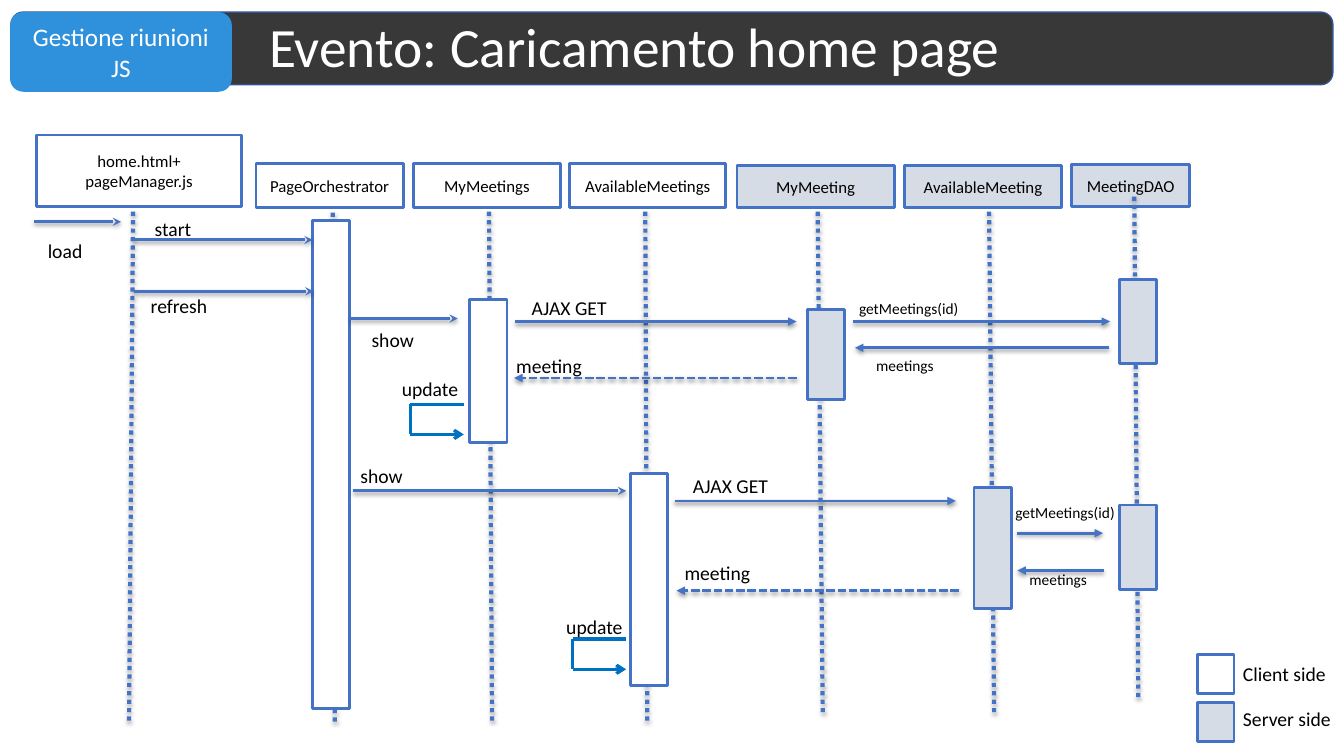
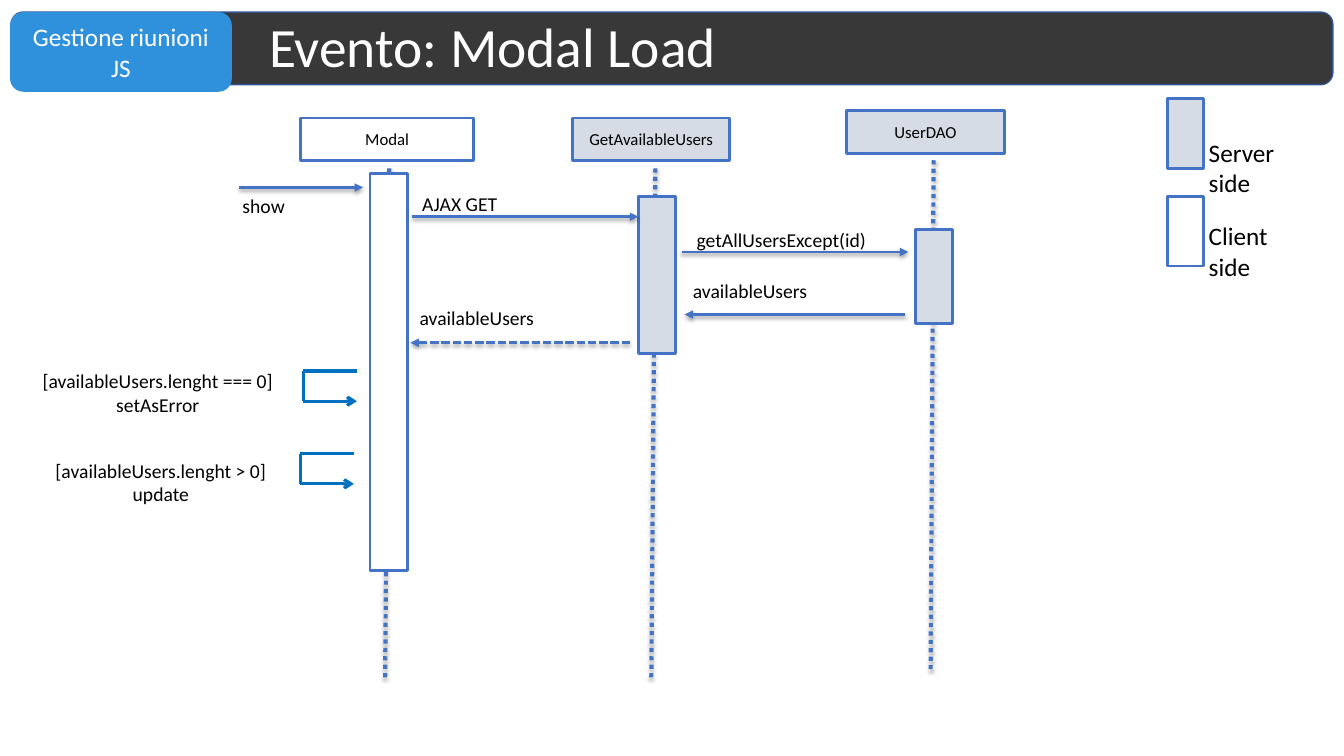
"""Build two sequence-diagram slides for the meeting manager."""
import dataclasses
import itertools

import pptx
import pptx.dml.color
import pptx.enum.dml
import pptx.enum.shapes
import pptx.enum.text
import pptx.oxml
import pptx.util

Shape = pptx.enum.shapes.MSO_SHAPE
Align = pptx.enum.text.PP_ALIGN
Anchor = pptx.enum.text.MSO_ANCHOR
Dash = pptx.enum.dml.MSO_LINE
DRAWING = "http://schemas.openxmlformats.org/drawingml/2006/main"


@dataclasses.dataclass(frozen=True)
class Theme:
    font: str = "Calibri"
    band: str = "383838"
    band_edge: str = "325491"
    badge: str = "2F90DB"
    line: str = "4472C4"
    loop: str = "0070C0"
    client: str = "FFFFFF"
    server: str = "D6DCE5"
    ink: str = "000000"
    light: str = "FFFFFF"
    title_size: float = 39.6
    badge_size: float = 18
    head_size: float = 12
    label_size: float = 14
    small_size: float = 11


THEME = Theme()
BADGE = "Gestione riunioni JS"
BAR_WIDTH = 0.37
LOOP_WIDTH, LOOP_HEIGHT = 0.53, 0.3
LABEL_HEIGHT = 0.3
TIGHT, ROOMY = (0.1, 0.05), (0.12, 0.06)

# Participants: name, side, head box, lifeline ends, bar left, bars (top, height).
# Messages: from x, to x, y, head, dashed. Labels: text, left, top, width.
HOME = {
    "title": "Evento: Caricamento home page",
    "participants": [
        ("home.html+ pageManager.js", "client", (0.36, 1.34, 2.04, 0.71),
         (1.32, 2.1, 1.28, 7.16), 0, []),
        ("PageOrchestrator", "client", (2.54, 1.62, 1.46, 0.44),
         (3.3, 2.11, 3.32, 7.16), 3.1, [(2.19, 4.84)]),
        ("MyMeetings", "client", (4.1, 1.62, 1.46, 0.44),
         (4.85, 2.1, 4.88, 7.16), 4.66, [(2.97, 1.42)]),
        ("AvailableMeetings", "client", (5.65, 1.62, 1.55, 0.44),
         (6.4, 2.1, 6.42, 7.15), 6.25, [(4.7, 2.1)]),
        ("MyMeeting", "server", (7.31, 1.64, 1.56, 0.42),
         (8.11, 2.1, 8.16, 7.07), 8.01, [(3.07, 0.89)]),
        ("AvailableMeeting", "server", (8.97, 1.64, 1.56, 0.42),
         (9.81, 2.1, 9.86, 7.07), 9.66, [(4.84, 1.2)]),
        ("MeetingDAO", "server", (10.63, 1.63, 1.17, 0.42),
         (11.25, 1.95, 11.29, 6.92), 11.1, [(2.77, 0.84), (5.01, 0.84)]),
    ],
    "messages": [
        (0.34, 1.2, 2.2, "stealth", False),
        (1.32, 3.1, 2.38, "stealth", False),
        (1.33, 3.11, 2.89, "stealth", False),
        (3.47, 4.54, 3.16, "stealth", False),
        (3.5, 6.21, 4.87, "stealth", False),
        (5.11, 7.9, 3.19, "triangle", False),
        (8.46, 11.01, 3.19, "triangle", False),
        (11, 8.48, 3.45, "triangle", False),
        (7.9, 5.1, 3.75, "triangle", True),
        (6.69, 9.48, 4.97, "triangle", False),
        (10.09, 10.94, 5.29, "triangle", False),
        (10.95, 10.09, 5.66, "triangle", False),
        (9.51, 6.71, 5.86, "triangle", True),
    ],
    "loops": [(4.07, 4.01), (5.68, 6.34)],
    "labels": [
        ("load", 0.09, 2.31, 1.11), ("start", 1.16, 2.09, 1.11),
        ("refresh", 1.22, 2.86, 1.11), ("show", 3.34, 3.19, 1.11),
        ("show", 3.23, 4.54, 1.11), ("AJAX GET", 5.09, 2.88, 1.11),
        ("meeting", 4.89, 3.45, 1.11), ("update", 3.71, 3.68, 1.11),
        ("AJAX GET", 6.69, 4.64, 1.11), ("meeting", 6.56, 5.51, 1.11),
        ("update", 5.34, 6.04, 1.11),
    ],
    "calls": [
        ("getMeetings(id)", 8.4, 2.91, 1.53), ("meetings", 8.57, 3.47, 0.9),
        ("getMeetings(id)", 9.95, 4.93, 1.53), ("meetings", 10.09, 5.6, 0.9),
    ],
    "legend_size": 14,
    "legend": [
        ("Client side", "client", (11.88, 6.49, 0.36, 0.39), (12.23, 6.52)),
        ("Server side", "server", (11.88, 6.97, 0.36, 0.39), (12.23, 6.96)),
    ],
}
MODAL = {
    "title": "Evento: Modal Load",
    "participants": [
        ("Modal", "client", (2.98, 1.17, 1.72, 0.42),
         (3.86, 1.67, 3.82, 6.74), 3.67, [(1.72, 3.94)]),
        ("GetAvailableUsers", "server", (5.68, 1.17, 1.56, 0.42),
         (6.5, 1.67, 6.46, 6.74), 6.33, [(1.95, 1.56)]),
        ("UserDAO", "server", (8.4, 1.1, 1.56, 0.42),
         (9.26, 1.59, 9.23, 6.66), 9.08, [(2.28, 0.93)]),
    ],
    "messages": [
        (2.37, 3.6, 1.86, "triangle", False),
        (4.09, 6.33, 2.15, "triangle", False),
        (6.76, 9.01, 2.5, "triangle", False),
        (8.98, 6.79, 3.12, "triangle", False),
        (6.25, 4.07, 3.4, "triangle", True),
    ],
    "loops": [(3.01, 3.68), (2.98, 4.5)],
    "labels": [
        ("show", 2.24, 1.86, 0.75), ("AJAX GET", 3.96, 1.84, 1.2),
        ("getAllUsersExcept(id)", 6.63, 2.2, 2.24),
        ("availableUsers", 6.71, 2.71, 1.46),
        ("availableUsers", 4, 2.98, 1.46),
        ("[availableUsers.lenght === 0]\nsetAsError", 0.26, 3.6, 2.61),
        ("[availableUsers.lenght > 0]\nupdate", 0.29, 4.49, 2.61),
    ],
    "calls": [],
    "legend_size": 18,
    "legend": [
        ("Server side", "server", (11.58, 0.98, 0.36, 0.69), (11.89, 1.31)),
        ("Client side", "client", (11.58, 1.95, 0.36, 0.69), (11.89, 2.14)),
    ],
}


def inches(*lengths):
    return [pptx.util.Inches(length) for length in lengths]


def color(code):
    return pptx.dml.color.RGBColor.from_string(code)


def write(shape, text, size, ink=THEME.ink, align=Align.CENTER,
          anchor=Anchor.MIDDLE, margins=ROOMY, wrap=True):
    frame = shape.text_frame
    frame.text = text
    frame.word_wrap = wrap
    frame.vertical_anchor = anchor
    frame.margin_left = frame.margin_right = pptx.util.Inches(margins[0])
    frame.margin_top = frame.margin_bottom = pptx.util.Inches(margins[1])
    for para in frame.paragraphs:
        para.alignment = align
        for span in para.runs:
            span.font.name = THEME.font
            span.font.size = pptx.util.Pt(size)
            span.font.color.rgb = color(ink)
    return frame


def add_box(page, place, fill, edge=THEME.line, weight=2, kind=Shape.RECTANGLE):
    box = page.shapes.add_shape(kind, *inches(*place))
    box.shadow.inherit = False
    box.fill.solid()
    box.fill.fore_color.rgb = color(fill)
    if edge:
        box.line.color.rgb = color(edge)
        box.line.width = pptx.util.Pt(weight)
    else:
        box.line.fill.background()
    return box


def add_text(page, place, text, size, **style):
    return write(page.shapes.add_textbox(*inches(*place)), text, size, **style)


def add_line(page, ends, ink=THEME.line, weight=2, dash=None, head=None, shadow=None):
    line = page.shapes.add_connector(
        pptx.enum.shapes.MSO_CONNECTOR.STRAIGHT, *inches(*ends))
    line.line.color.rgb = color(ink)
    line.line.width = pptx.util.Pt(weight)
    if dash:
        line.line.dash_style = dash
    if head:
        line.line._get_or_add_ln().append(pptx.oxml.parse_xml(
            f'<a:tailEnd xmlns:a="{DRAWING}" type="{head}"/>'))
    cast = ""
    if shadow:
        distance, alpha = shadow
        cast = (f'<a:outerShdw blurRad="{pptx.util.Pt(3.1)}" '
                f'dist="{pptx.util.Pt(distance)}" dir="5400000" rotWithShape="0">'
                f'<a:srgbClr val="{THEME.ink}"><a:alpha val="{alpha}000"/></a:srgbClr>'
                '</a:outerShdw>')
    line._element.spPr.append(pptx.oxml.parse_xml(
        f'<a:effectLst xmlns:a="{DRAWING}">{cast}</a:effectLst>'))


def add_header(page, title):
    add_box(page, (0.11, 0.12, 13.11, 0.72), THEME.band, THEME.band_edge, 1,
            Shape.ROUNDED_RECTANGLE)
    badge = add_box(page, (0.1, 0.12, 2.2, 0.79), THEME.badge, None,
                    kind=Shape.ROUNDED_RECTANGLE)
    write(badge, BADGE, THEME.badge_size, THEME.light, margins=TIGHT)
    frame = add_text(page, (2.57, 0.12, 10.63, 0.74), title, THEME.title_size,
                     ink=THEME.light, align=Align.LEFT, margins=TIGHT)
    frame.paragraphs[0].line_spacing = 0.9


def add_participants(page, participants):
    for name, side, head, lifeline, bar_left, bars in participants:
        fill = getattr(THEME, side)
        write(add_box(page, head, fill), name, THEME.head_size)
        add_line(page, lifeline, weight=3, dash=Dash.ROUND_DOT, shadow=(1.8, 35))
        page.shapes[-1].line.dash_style = Dash.ROUND_DOT
        for top, height in bars:
            add_box(page, (bar_left, top, BAR_WIDTH, height), fill)


def add_loop(page, left, top):
    right, bottom = left + LOOP_WIDTH, top + LOOP_HEIGHT
    corners = [(right, top), (left, top), (left, bottom), (right, bottom)]
    heads = (None, None, "arrow")
    for (start, end), head in zip(itertools.pairwise(corners), heads):
        add_line(page, start + end, THEME.loop, 2.25, head=head)


def add_diagram(deck, content):
    page = deck.slides.add_slide(deck.slide_layouts[6])
    add_header(page, content["title"])
    add_participants(page, content["participants"])
    for start, end, level, head, dashed in content["messages"]:
        add_line(page, (start, level, end, level), head=head, shadow=(1.6, 38),
                 dash=Dash.SQUARE_DOT if dashed else None)
    for corner in content["loops"]:
        add_loop(page, *corner)
    for text, left, top, width in content["labels"]:
        add_text(page, (left, top, width, LABEL_HEIGHT), text, THEME.label_size,
                 anchor=Anchor.TOP)
    for text, left, top, width in content["calls"]:
        add_text(page, (left, top, width, 0.4), text, THEME.small_size,
                 align=Align.LEFT, anchor=Anchor.TOP)
    for text, side, swatch, corner in content["legend"]:
        add_box(page, swatch, getattr(THEME, side))
        add_text(page, (*corner, 1.1, 0.34), text, content["legend_size"],
                 align=Align.LEFT, anchor=Anchor.TOP, margins=TIGHT, wrap=False)


deck = pptx.Presentation()
deck.slide_width, deck.slide_height = inches(13.33, 7.5)
for content in (HOME, MODAL):
    add_diagram(deck, content)
deck.save("out.pptx")
